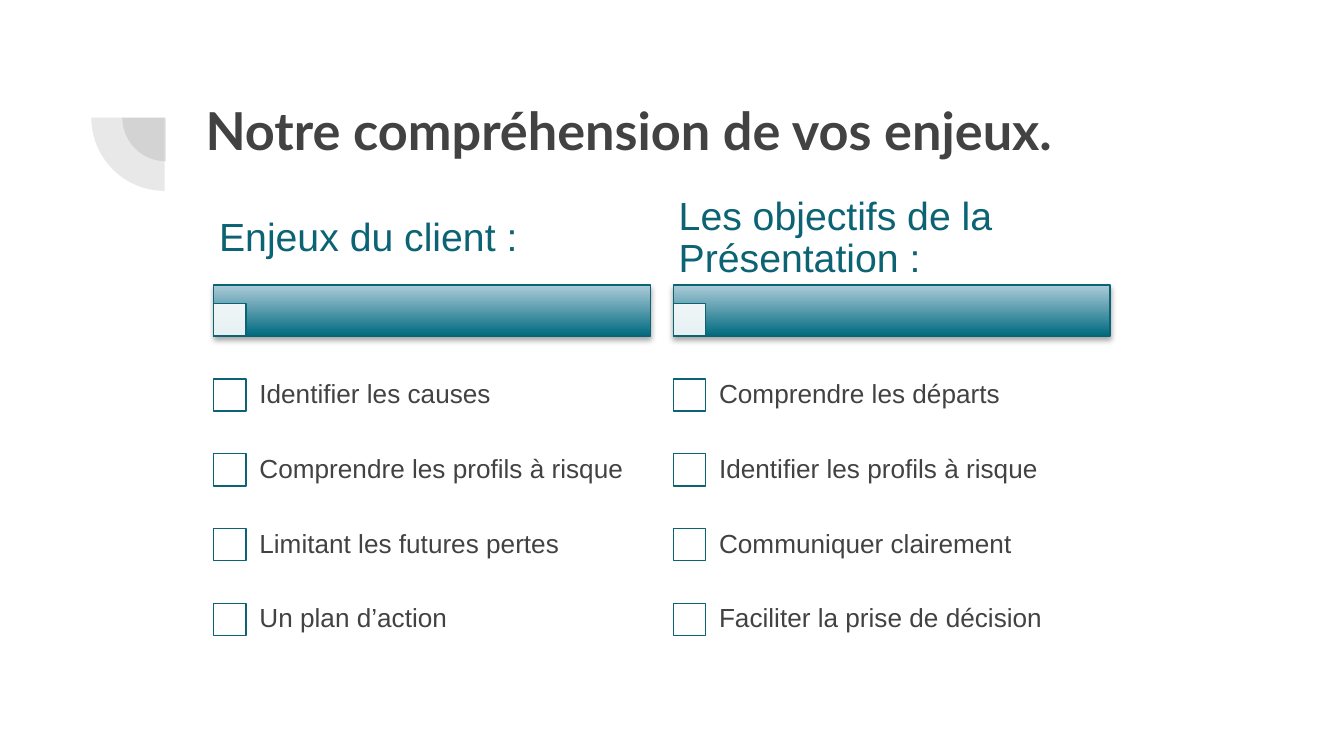
from lxml.etree import SubElement
from pptx import Presentation
from pptx.dml.color import RGBColor
from pptx.enum.shapes import MSO_SHAPE
from pptx.enum.text import MSO_ANCHOR, MSO_AUTO_SIZE, PP_ALIGN
from pptx.oxml.ns import qn
from pptx.util import Inches, Pt

GREY = RGBColor(0x42, 0x42, 0x42)
TEAL = RGBColor(0x0B, 0x63, 0x74)
DARK_TEAL = RGBColor(0x00, 0x6A, 0x7F)
PALE_TEAL = RGBColor(0xAD, 0xCC, 0xD9)
WHITE = RGBColor(0xFF, 0xFF, 0xFF)

COLUMNS = [
    (1.59, "Enjeux du client :", [
        "Identifier les causes",
        "Comprendre les profils à risque",
        "Limitant les futures pertes",
        "Un plan d’action",
    ]),
    (5.01, "Les objectifs de la Présentation :", [
        "Comprendre les départs",
        "Identifier les profils à risque",
        "Communiquer clairement",
        "Faciliter la prise de décision",
    ]),
]
ROW_TOP = 2.66
ROW_STEP = 1.67 / 3
BOX_SIZE = 0.24

deck = Presentation()
deck.slide_width = Inches(10)
deck.slide_height = Inches(10 * 9 / 16)
page = deck.slides.add_slide(deck.slide_layouts[5])


def add_filled(kind, left, top, width, height, color, opacity=100):
    shape = page.shapes.add_shape(
        kind, Inches(left), Inches(top), Inches(width), Inches(height))
    shape.shadow.inherit = False
    shape.fill.solid()
    shape.fill.fore_color.rgb = color
    shape.line.color.rgb = TEAL
    shape.line.width = Pt(0.75)
    if opacity < 100:
        color_element = shape._element.spPr.find(qn("a:solidFill"))[0]
        SubElement(color_element, qn("a:alpha"), val=str(opacity * 1000))
    return shape


def add_label(left, top, width, height, inset_x, inset_y, text, size, color):
    box = page.shapes.add_textbox(
        Inches(left), Inches(top), Inches(width), Inches(height))
    frame = box.text_frame
    frame.word_wrap = True
    frame.vertical_anchor = MSO_ANCHOR.MIDDLE
    frame.margin_left = frame.margin_right = Inches(inset_x)
    frame.margin_top = frame.margin_bottom = Inches(inset_y)
    para = frame.paragraphs[0]
    para.line_spacing = 0.9
    span = para.add_run()
    span.text = text
    span.font.name = "Arial"
    span.font.size = Pt(size)
    span.font.color.rgb = color


for left, top, size in [(0.91, 0.55, 0.65), (0.68, 0.33, 1.09)]:
    pie = add_filled(MSO_SHAPE.PIE, left, top, size, size, GREY, 12)
    pie.line.fill.background()
    pie.adjustments[0] = 108
    pie.adjustments[1] = 162
    pie.rotation = 270

title = page.shapes.title
title.left, title.top = Inches(1.43), Inches(0.63)
title.width, title.height = Inches(7.69), Inches(1.09)
frame = title.text_frame
frame.word_wrap = True
frame.auto_size = MSO_AUTO_SIZE.NONE
frame.vertical_anchor = MSO_ANCHOR.TOP
frame.margin_left = frame.margin_right = Inches(0.1)
frame.margin_top = frame.margin_bottom = Inches(0.1)
para = frame.paragraphs[0]
para.alignment = PP_ALIGN.LEFT
span = para.add_run()
span.text = "Notre compréhension de vos enjeux."
span.font.name = "Lato"
span.font.size = Pt(28)
span.font.bold = True
span.font.color.rgb = GREY

for left, heading, items in COLUMNS:
    bar = add_filled(MSO_SHAPE.RECTANGLE, left, 2.12, 3.25, 0.38, DARK_TEAL)
    bar.fill.gradient()
    bar.fill.gradient_angle = 90
    for stop, color in zip(bar.fill.gradient_stops, [DARK_TEAL, PALE_TEAL]):
        stop.color.rgb = color
    effects = bar._element.spPr.find(qn("a:effectLst"))
    shadow = SubElement(effects, qn("a:outerShdw"), blurRad=str(Pt(3.1)),
                        dist=str(Pt(1.8)), dir="5400000", rotWithShape="0")
    shade = SubElement(shadow, qn("a:srgbClr"), val="000000")
    SubElement(shade, qn("a:alpha"), val="35000")

    add_filled(MSO_SHAPE.RECTANGLE, left, 2.26, BOX_SIZE, BOX_SIZE, WHITE, 90)
    add_label(left, 1.43, 3.25, 0.69, 0.04, 0.03, heading, 21, TEAL)

    for row, item in enumerate(items):
        top = ROW_TOP + row * ROW_STEP
        add_filled(MSO_SHAPE.RECTANGLE, left, top + 0.16,
                   BOX_SIZE, BOX_SIZE, WHITE)
        add_label(left + 0.23, top, 3.02, 0.56, 0.11, 0.11, item, 14, GREY)

deck.save("out.pptx")
